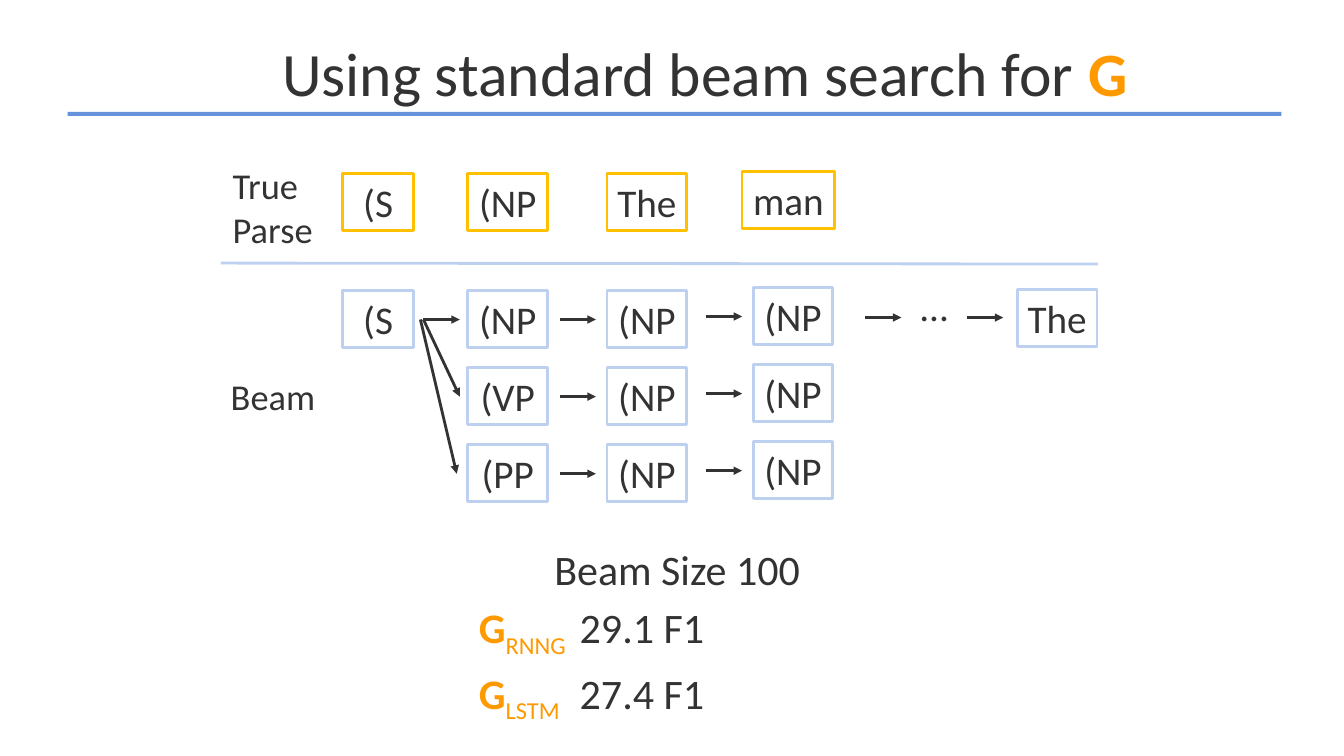
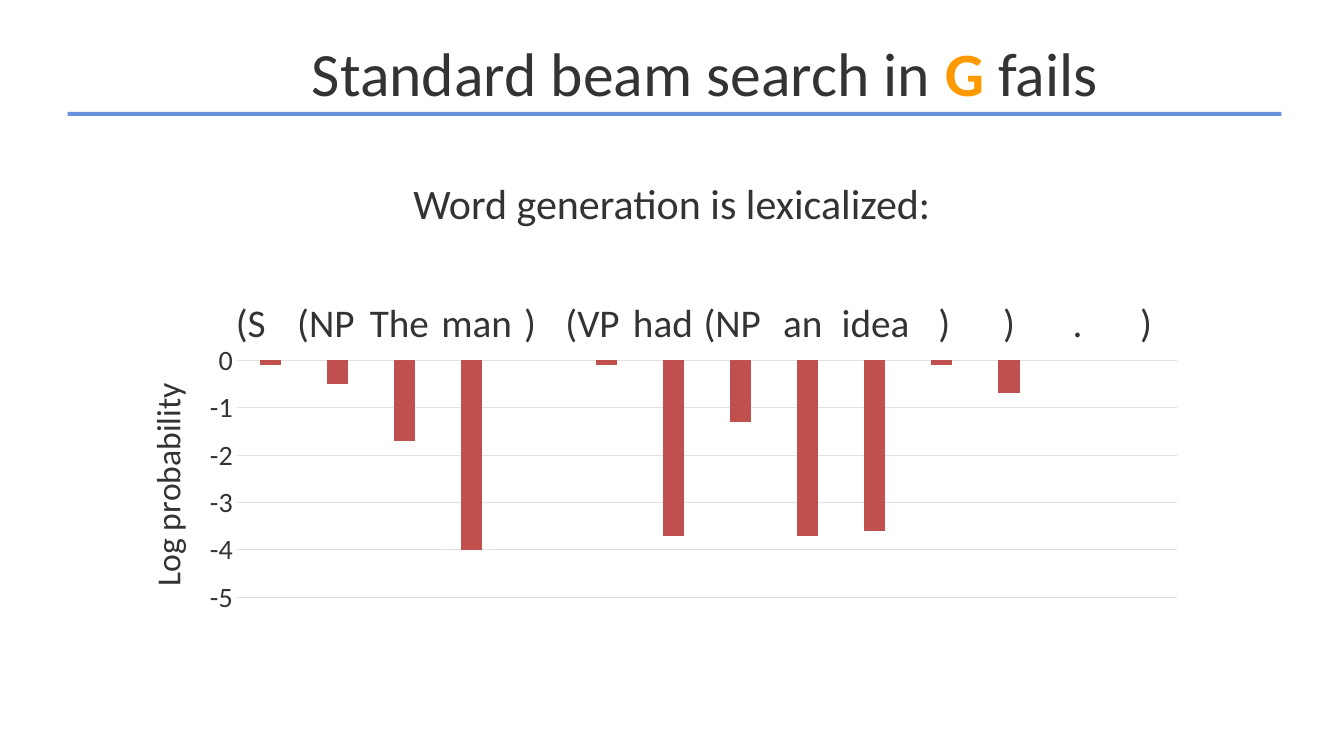
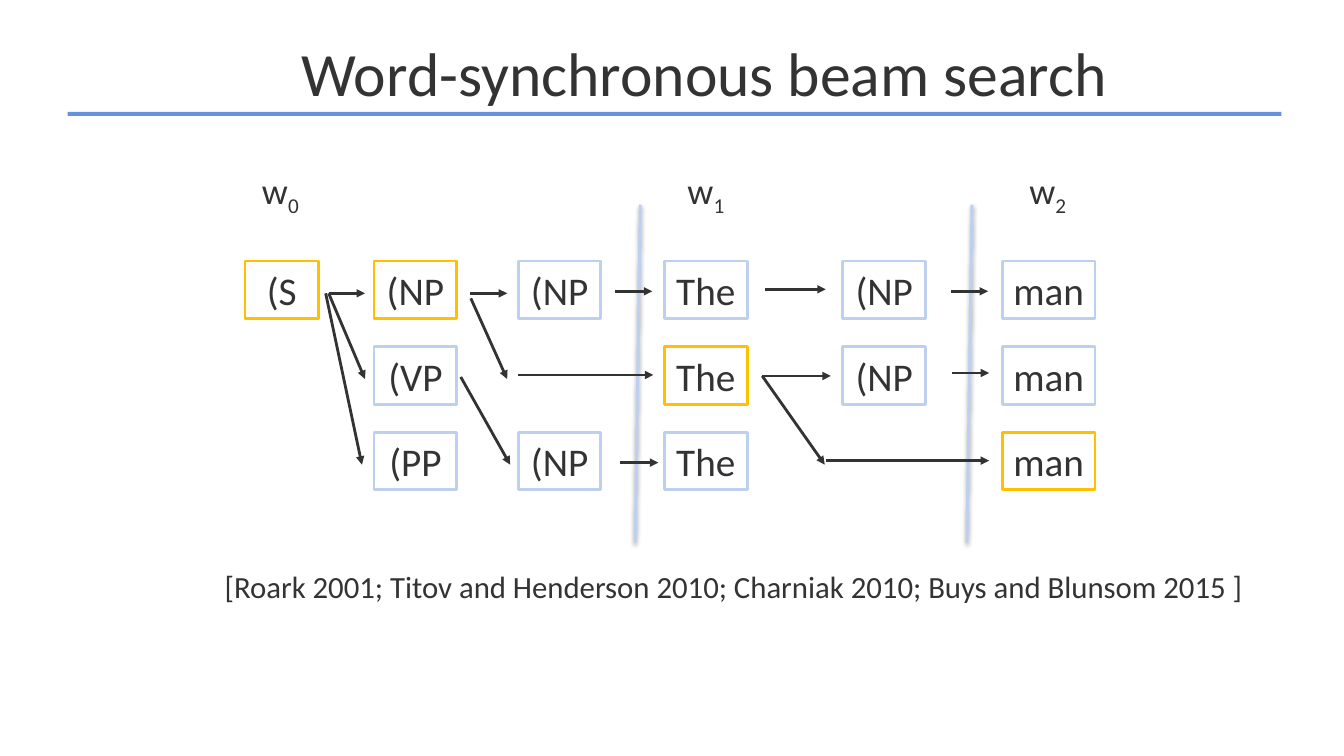
from dataclasses import dataclass
from lxml import etree
from pptx import Presentation
from pptx import util as u
from pptx.chart import data
from pptx.dml import color
from pptx.enum import chart as ch, shapes, text
from pptx.oxml import ns

WIDTH, HEIGHT = 13.33, 7.5
FONT = "Calibri"
INK, ACCENT, BAND = "333333", "FF9900", "6692DC"
BEAM, GOLD, PAPER = "BDD0F0", "FFC000", "FFFFFF"
BAR, GRID = "C0504D", "E0E0E0"
TOKEN_HEIGHT = 0.57
ARROW = 0.36


def rgb(hex_code):
    return color.RGBColor.from_string(hex_code)


def add_xml(parent, tag, **attributes):
    return etree.SubElement(parent, ns.qn(tag), attributes)


def style_font(font, size, hex_code=INK):
    font.name = FONT
    font.size = u.Pt(size)
    font.color.rgb = rgb(hex_code)


def write(paragraph, parts, size, align=None):
    paragraph.alignment = align
    for words, role in parts:
        run = paragraph.add_run()
        run.text = words
        style_font(run.font, size, ACCENT if "accent" in role else INK)
        run.font.bold = "bold" in role
        if "sub" in role:
            run.font._element.set("baseline", "-25000")


@dataclass
class Region:
    slide: object
    left: float
    top: float

    def at(self, x, y):
        return u.Inches(self.left + x), u.Inches(self.top + y)

    def token(self, word, x, y, width, edge=BEAM):
        box = self.slide.shapes.add_shape(
            shapes.MSO_SHAPE.RECTANGLE, *self.at(x, y),
            u.Inches(width), u.Inches(TOKEN_HEIGHT))
        box.shadow.inherit = False
        box.fill.solid()
        box.fill.fore_color.rgb = rgb(PAPER)
        box.line.color.rgb = rgb(edge)
        box.line.width = u.Pt(2)
        box.text_frame.word_wrap = False
        write(box.text_frame.paragraphs[0], [(word, "")], 28,
              text.PP_ALIGN.CENTER)

    def line(self, start, end, hex_code=INK):
        link = self.slide.shapes.add_connector(
            shapes.MSO_CONNECTOR.STRAIGHT, *self.at(*start), *self.at(*end))
        link.line.color.rgb = rgb(hex_code)
        link.line.width = u.Pt(2)
        return link, add_xml(link.element.spPr, "a:effectLst")

    def arrow(self, start, end):
        link, _ = self.line(start, end)
        add_xml(link.line._get_or_add_ln(), "a:tailEnd", type="triangle")

    def fan(self, x, y, pitch):
        for row in range(3):
            shift = 0.03 if row == 2 else 0
            self.arrow((x - shift, y), (x - shift + ARROW, y + row * pitch))

    def label(self, lines, x, y, width, height, size, wrap=False, align=None):
        frame = self.slide.shapes.add_textbox(
            *self.at(x, y), u.Inches(width), u.Inches(height)).text_frame
        frame.word_wrap = wrap
        for index, parts in enumerate(lines):
            paragraph = frame.add_paragraph() if index else frame.paragraphs[0]
            write(paragraph, parts, size, align)


def prepare_master(prs):
    title = prs.slide_master.placeholders[0]
    title.left, title.top = u.Inches(1.77), u.Inches(0.16)
    title.width, title.height = u.Inches(10.44), u.Inches(1.1)
    title.text_frame.vertical_anchor = text.MSO_ANCHOR.MIDDLE


def add_band(prs, slide):
    band = slide.shapes.add_shape(
        shapes.MSO_SHAPE.RECTANGLE, u.Inches(0.67), u.Inches(1.11),
        u.Inches(12.04), u.Inches(0.04))
    band.shadow.inherit = False
    band.fill.solid()
    band.fill.fore_color.rgb = rgb(BAND)
    band.line.fill.background()
    prs.slide_master.shapes.element.append(band.element)


def titled_slide(prs, layout, parts):
    slide = prs.slides.add_slide(prs.slide_layouts[layout])
    write(slide.shapes.title.text_frame.paragraphs[0], parts, 44,
          text.PP_ALIGN.CENTER)
    return slide


def true_parse(region):
    region.label([[("True", "")], [("Parse", "")]], 0.02, 0, 1, 0.98, 26)
    for word, x, y, width in [("(S", 1.21, 0.15, 0.7), ("(NP", 2.45, 0.15, 0.79),
                              ("The", 3.83, 0.15, 0.79), ("man", 5.17, 0.13, 0.92)]:
        region.token(word, x, y, width, GOLD)
    region.line((0, 1.04), (8.7, 1.05), BEAM)


def beam(region):
    pitch, middle, raised = 0.765, 0.29, -0.03
    region.label([[("Beam", "")]], 0, 0.78, 1.05, 0.54, 26)
    region.token("(S", 1.21, 0, 0.7)
    region.fan(2.01, middle, pitch)
    for row, first in enumerate(["(NP", "(VP", "(PP"]):
        y = row * pitch
        region.token(first, 2.45, y, 0.79)
        for x, lift in [(3.83, 0), (5.28, raised)]:
            region.token("(NP", x, y + lift, 0.79)
            start = x - 0.47
            region.arrow((start, y + lift + middle),
                         (start + ARROW, y + lift + middle))
    for x in (6.39, 7.4):
        region.arrow((x, 0.27), (x + ARROW, 0.27))
    region.label([[("...", "")]], 6.83, -0.13, 0.5, 0.57, 28)
    region.token("The", 7.9, -0.01, 0.79)


def beam_scores(slide, left, top):
    Region(slide, left, top).label([[("Beam Size 100", "")]],
                                   1.25, 0, 2.66, 0.61, 30)
    body = slide.placeholders[1]
    body.left, body.top = u.Inches(left), u.Inches(top + 0.65)
    body.width, body.height = u.Inches(3.58), u.Inches(1.18)
    frame = body.text_frame
    frame.auto_size = text.MSO_AUTO_SIZE.NONE
    frame.vertical_anchor = text.MSO_ANCHOR.MIDDLE
    frame.margin_left = u.Inches(0.6)
    for index, (model, score) in enumerate([("RNNG", "29.1 F1"),
                                            ("LSTM", "27.4 F1")]):
        paragraph = frame.add_paragraph() if index else frame.paragraphs[0]
        paragraph.level = 1
        write(paragraph, [("G", "accent bold"), (model, "accent sub"),
                          ("\t" + score, "")], 30)
        props = paragraph._p.get_or_add_pPr()
        props.set("marL", "0")
        props.set("indent", "0")
        add_xml(props, "a:buNone")
        add_xml(add_xml(props, "a:tabLst"), "a:tab",
                pos=str(u.Inches(1.35)), algn="l")


def place(parent, position, **shares):
    for old in parent.findall(ns.qn("c:layout")):
        parent.remove(old)
    layout = etree.Element(ns.qn("c:layout"))
    parent.insert(position, layout)
    manual = add_xml(layout, "c:manualLayout")
    if "w" in shares:
        add_xml(manual, "c:layoutTarget", val="inner")
    for side in ("x", "y"):
        add_xml(manual, f"c:{side}Mode", val="edge")
    for key, share in shares.items():
        add_xml(manual, f"c:{key}", val=str(share))


def probability_chart(slide, left, top, width, height):
    values = [-0.1, -0.5, -1.7, -4, 0, -0.1, -3.7, -1.3, -3.7, -3.6,
              -0.1, -0.7, 0, 0]
    table = data.CategoryChartData()
    table.categories = [str(n + 1) for n in range(len(values))]
    table.add_series("Series 1", values)
    chart = slide.shapes.add_chart(
        ch.XL_CHART_TYPE.COLUMN_CLUSTERED, u.Inches(left), u.Inches(top),
        u.Inches(width), u.Inches(height), table).chart
    style_font(chart.font, 10)
    chart.has_legend = False
    chart.has_title = False
    plot = chart.plots[0]
    plot.gap_width, plot.overlap, plot.vary_by_categories = 219, -27, False
    bars = plot.series[0]
    bars.invert_if_negative = False
    bars.format.fill.solid()
    bars.format.fill.fore_color.rgb = rgb(BAR)
    chart.category_axis.visible = False
    axis = chart.value_axis
    axis.minimum_scale, axis.maximum_scale, axis.major_unit = -5, 0, 1
    axis.major_tick_mark = ch.XL_TICK_MARK.NONE
    axis.format.line.fill.background()
    axis.major_gridlines.format.line.color.rgb = rgb(GRID)
    axis.major_gridlines.format.line.width = u.Pt(0.75)
    style_font(axis.tick_labels.font, 20)
    frame = axis.axis_title.text_frame
    frame.text = "Log probability"
    run = frame.paragraphs[0].runs[0]
    style_font(run.font, 24)
    run.font.bold = False
    turn = frame._txBody.find(ns.qn("a:bodyPr"))
    turn.set("rot", "-5400000")
    turn.set("vert", "horz")
    place(axis.axis_title._element, 1, x=0.03, y=0.14)
    place(plot._element.getparent(), 0, x=0.12, y=0.08, w=0.86, h=0.84)


def word_row(region):
    for word, x in [("(S", 0), ("(NP", 0.61), ("The", 1.33), ("man", 2.04),
                    (")", 2.86), ("(VP", 3.27), ("had", 3.94), ("(NP", 4.64),
                    ("an", 5.43), ("idea", 6.01), (")", 6.97), (")", 7.61),
                    (".", 8.3), (")", 8.97)]:
        region.label([[(word, "")]], x, 0, 1, TOKEN_HEIGHT, 28, wrap=True)


def word_marks(region):
    for index, x in enumerate([0, 4.22, 7.61]):
        region.label([[("w", ""), (str(index), "sub")]], x, 0, 0.59, 0.54, 26)


def word_dividers(region):
    for x in (0, 3.29):
        _, effects = region.line((x + 0.05, 0), (x, 3.35), BEAM)
        shadow = add_xml(effects, "a:outerShdw", blurRad=str(u.Pt(3.1)),
                         dist=str(u.Pt(1.6)), dir="5400000", rotWithShape="0")
        shade = add_xml(shadow, "a:srgbClr", val="000000")
        add_xml(shade, "a:alpha", val="38000")


def synchronous_beam(region):
    pitch = 0.85
    columns = [(0, 0.73), (1.28, 0.82), (2.71, 0.82),
               (4.16, 0.82), (5.93, 0.82), (7.51, 0.92)]
    rows = [["(S", "(NP", "(NP", "The", "(NP", "man"],
            [None, "(VP", None, "The", "(NP", "man"],
            [None, "(PP", "(NP", "The", None, "man"]]
    true_path = {(0, 0), (0, 1), (1, 3), (2, 5)}
    for row, words in enumerate(rows):
        for column, word in enumerate(words):
            if word:
                x, width = columns[column]
                edge = GOLD if (row, column) in true_path else BEAM
                region.token(word, x, row * pitch, width, edge)
    region.fan(0.83, 0.32, pitch)
    for start, end in [((2.23, 0.32), (2.6, 0.32)), ((2.24, 0.37), (2.6, 1.17)),
                       ((2.14, 1.15), (2.63, 2.02)), ((2.71, 1.13), (4.05, 1.13)),
                       ((3.67, 0.3), (4.04, 0.3)), ((3.72, 2), (4.1, 2)),
                       ((5.16, 0.28), (5.76, 0.28)), ((5.13, 1.14), (5.81, 1.14)),
                       ((5.13, 1.14), (5.75, 2.02)), ((5.76, 1.98), (7.38, 1.98)),
                       ((7, 0.3), (7.37, 0.3)), ((7.01, 1.11), (7.38, 1.11))]:
        region.arrow(start, end)


def main():
    prs = Presentation()
    prs.slide_width, prs.slide_height = u.Inches(WIDTH), u.Inches(HEIGHT)
    prepare_master(prs)

    standard = titled_slide(prs, 1, [("Using standard beam search for ", ""),
                                     ("G", "accent bold")])
    add_band(prs, standard)
    true_parse(Region(standard, 2.19, 1.57))
    beam(Region(standard, 2.19, 2.88))
    beam_scores(standard, 4.15, 5.34)

    failure = titled_slide(prs, 5, [("Standard beam search in ", ""),
                                    ("G", "accent bold"), (" fails", "")])
    Region(failure, 0, 1.71).label([[("Word generation is lexicalized:", "")]],
                                   0, 0, WIDTH, 0.61, 30, wrap=True,
                                   align=text.PP_ALIGN.CENTER)
    probability_chart(failure, 1.05, 3.35, 10.84, 2.8)
    word_row(Region(failure, 2.24, 2.91))

    synchronous = titled_slide(prs, 5, [("Word-synchronous beam search", "")])
    word_dividers(Region(synchronous, 6.3, 2.03))
    word_marks(Region(synchronous, 2.5, 1.62))
    synchronous_beam(Region(synchronous, 2.43, 2.59))
    citation = ("[Roark 2001; Titov and Henderson 2010; Charniak 2010; "
                "Buys and Blunsom 2015 ]")
    Region(synchronous, 2.13, 5.58).label([[(citation, "")]],
                                          0, 0, 10.56, 0.47, 22)
    prs.save("out.pptx")


if __name__ == "__main__":
    main()
